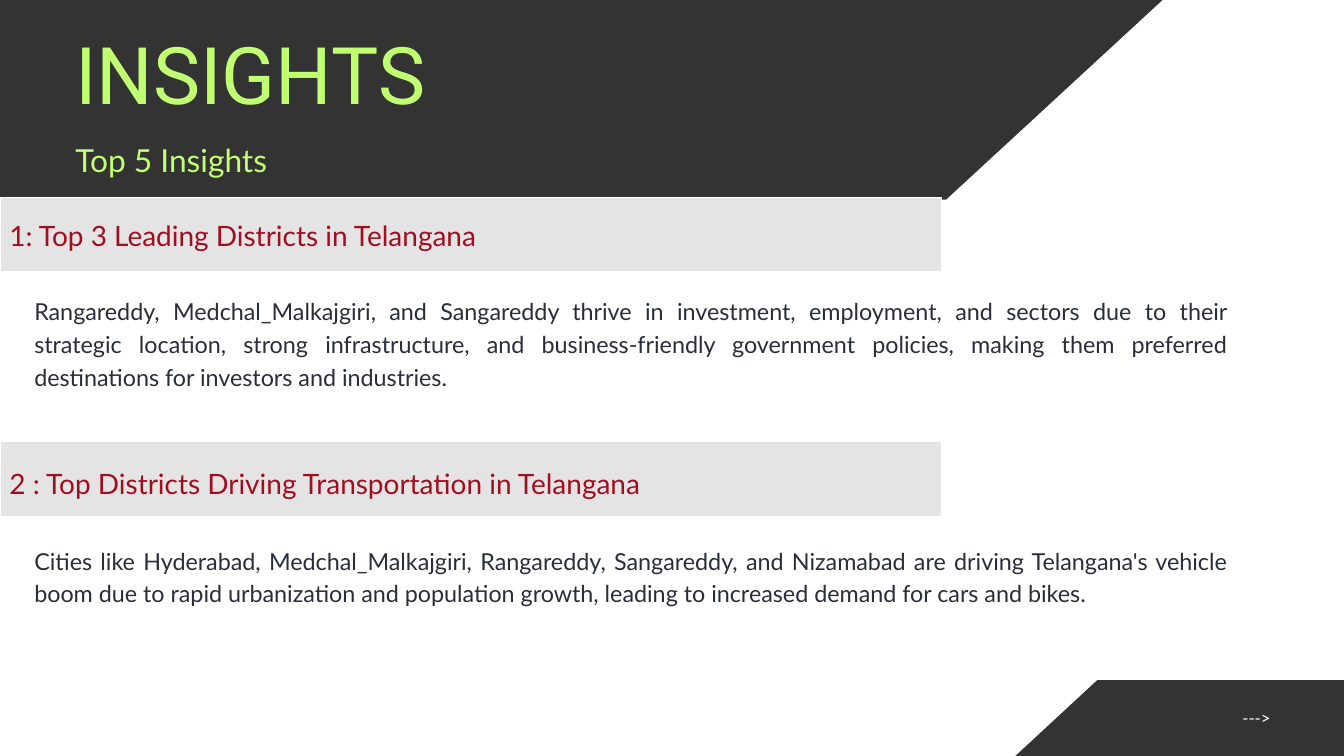
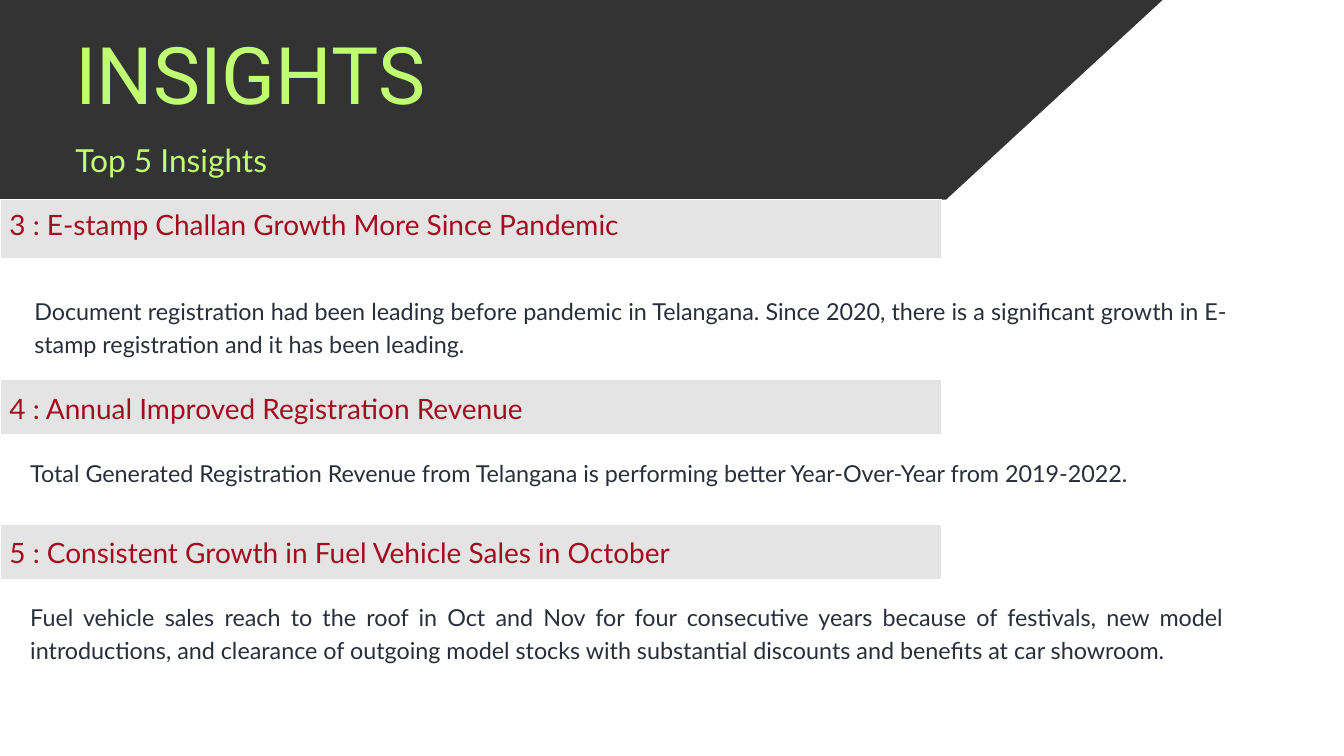
from pptx import Presentation
from pptx.dml.color import RGBColor
from pptx.enum.shapes import MSO_SHAPE as Shape
from pptx.enum.text import MSO_ANCHOR as Anchor, PP_ALIGN as Align
from pptx.util import Inches, Pt

SLIDE_WIDTH, SLIDE_HEIGHT = Inches(20), Inches(11.25)
COLUMN = SLIDE_WIDTH / 20
ROW = SLIDE_HEIGHT / 11.25

CHARCOAL = RGBColor(0x33, 0x33, 0x33)
LIME = RGBColor(0xC1, 0xFF, 0x72)
PALE_GREY = RGBColor(0xE4, 0xE4, 0xE4)
CRIMSON = RGBColor(0xA2, 0x0E, 0x20)
INK = RGBColor(0x2A, 0x2E, 0x3A)
WHITE = RGBColor(0xFF, 0xFF, 0xFF)

# Text styles: font, size, line spacing, colour
TITLE = ("Roboto", 85, 102, LIME)
SUBTITLE = ("Lato", 34, 47.6, LIME)
HEADING = ("Lato", 30, 42, CRIMSON)
BODY = ("Lato", 25, 35, INK)
FOOTER = ("Lato", 18, 23.4, WHITE)

HEADER_POINTS = [(0, 0), (17.3, 0), (14.08, 2.97), (0, 2.97)]
CORNER_POINTS = [(16.33, 10.12), (20, 10.12), (20, 11.25), (15.11, 11.25)]
BAND_WIDTH = 14.01
HEADING_INDENT = 0.14
BODY_WIDTH = 17.75

# Each insight: heading, band (top, height), heading centre, body (left, top, height), body
FIRST_INSIGHTS = [
    ("1: Top 3 Leading Districts in Telangana", (2.94, 1.1), 3.46, (0.51, 4.36, 1.42),
     "Rangareddy, Medchal_Malkajgiri, and Sangareddy thrive in investment, employment, "
     "and sectors due to their strategic location, strong infrastructure, and "
     "business-friendly government policies, making them preferred destinations for "
     "investors and industries."),
    ("2 : Top Districts Driving Transportation in Telangana", (6.57, 1.11), 7.15,
     (0.51, 8.07, 0.94),
     "Cities like Hyderabad, Medchal_Malkajgiri, Rangareddy, Sangareddy, and Nizamabad "
     "are driving Telangana's vehicle boom due to rapid urbanization and population "
     "growth, leading to increased demand for cars and bikes."),
]
LAST_INSIGHTS = [
    ("3 : E-stamp Challan Growth More Since Pandemic", (2.97, 0.87), 3.29,
     (0.51, 4.36, 0.94),
     "Document registration had been leading before pandemic in Telangana. Since 2020, "
     "there is a significant growth in E-stamp registration and it has been leading."),
    ("4 : Annual Improved Registration Revenue", (5.65, 0.82), 6.03, (0.45, 6.76, 0.46),
     "Total Generated Registration Revenue from Telangana is performing better "
     "Year-Over-Year from 2019-2022."),
    ("5 : Consistent Growth in Fuel Vehicle Sales in October", (7.8, 0.82), 8.18,
     (0.45, 8.91, 0.94),
     "Fuel vehicle sales reach to the roof in Oct and Nov for four consecutive years "
     "because of festivals, new model introductions, and clearance of outgoing model "
     "stocks with substantial discounts and benefits at car showroom."),
]


def grid_box(left, top, width, height):
    """Turn columns and rows into slide lengths."""
    return int(left * COLUMN), int(top * ROW), int(width * COLUMN), int(height * ROW)


def add_text(slide, text, box, style, align=Align.LEFT, anchor=Anchor.TOP):
    font_name, size, spacing, colour = style
    text_frame = slide.shapes.add_textbox(*grid_box(*box)).text_frame
    text_frame.margin_left = text_frame.margin_right = 0
    text_frame.margin_top = text_frame.margin_bottom = 0
    text_frame.word_wrap = True
    text_frame.vertical_anchor = anchor
    text_frame.text = text
    paragraph = text_frame.paragraphs[0]
    paragraph.alignment = align
    paragraph.line_spacing = Pt(spacing)
    font = paragraph.runs[0].font
    font.name, font.size = font_name, Pt(size)
    font.color.rgb = colour


def paint(shape, colour):
    shape.shadow.inherit = False
    shape.fill.solid()
    shape.fill.fore_color.rgb = colour
    shape.line.fill.background()


def add_slanted_panel(slide, points):
    corners = [(int(x * COLUMN), int(y * ROW)) for x, y in points]
    builder = slide.shapes.build_freeform(*corners[0])
    builder.add_line_segments(corners[1:], close=True)
    paint(builder.convert_to_shape(), CHARCOAL)


def add_header(slide):
    add_slanted_panel(slide, HEADER_POINTS)
    add_text(slide, "INSIGHTS", (1.12, 0.37, 13.11, 1.41), TITLE)
    add_text(slide, "Top 5 Insights", (1.12, 2, 10.59, 0.62), SUBTITLE)


def add_insight(slide, heading, band_rows, centre, body_place, body):
    top, height = band_rows
    band = slide.shapes.add_shape(Shape.RECTANGLE, *grid_box(0, top, BAND_WIDTH, height))
    paint(band, PALE_GREY)
    band.line.color.rgb = WHITE
    band.line.width = Pt(0.75)
    heading_box = (HEADING_INDENT, centre - height / 2, BAND_WIDTH - HEADING_INDENT, height)
    add_text(slide, heading, heading_box, HEADING, anchor=Anchor.MIDDLE)
    left, top, height = body_place
    add_text(slide, body, (left, top, BODY_WIDTH, height), BODY, Align.JUSTIFY)


def add_next_corner(slide):
    add_slanted_panel(slide, CORNER_POINTS)
    add_text(slide, "--->", (16.7, 10.51, 2.21, 0.33), FOOTER, Align.RIGHT)


def add_insights_slide(presentation, insights):
    slide = presentation.slides.add_slide(presentation.slide_layouts[6])
    add_header(slide)
    for insight in insights:
        add_insight(slide, *insight)
    return slide


def main():
    presentation = Presentation()
    presentation.slide_width, presentation.slide_height = SLIDE_WIDTH, SLIDE_HEIGHT
    add_next_corner(add_insights_slide(presentation, FIRST_INSIGHTS))
    add_insights_slide(presentation, LAST_INSIGHTS)
    presentation.save("out.pptx")


if __name__ == "__main__":
    main()
